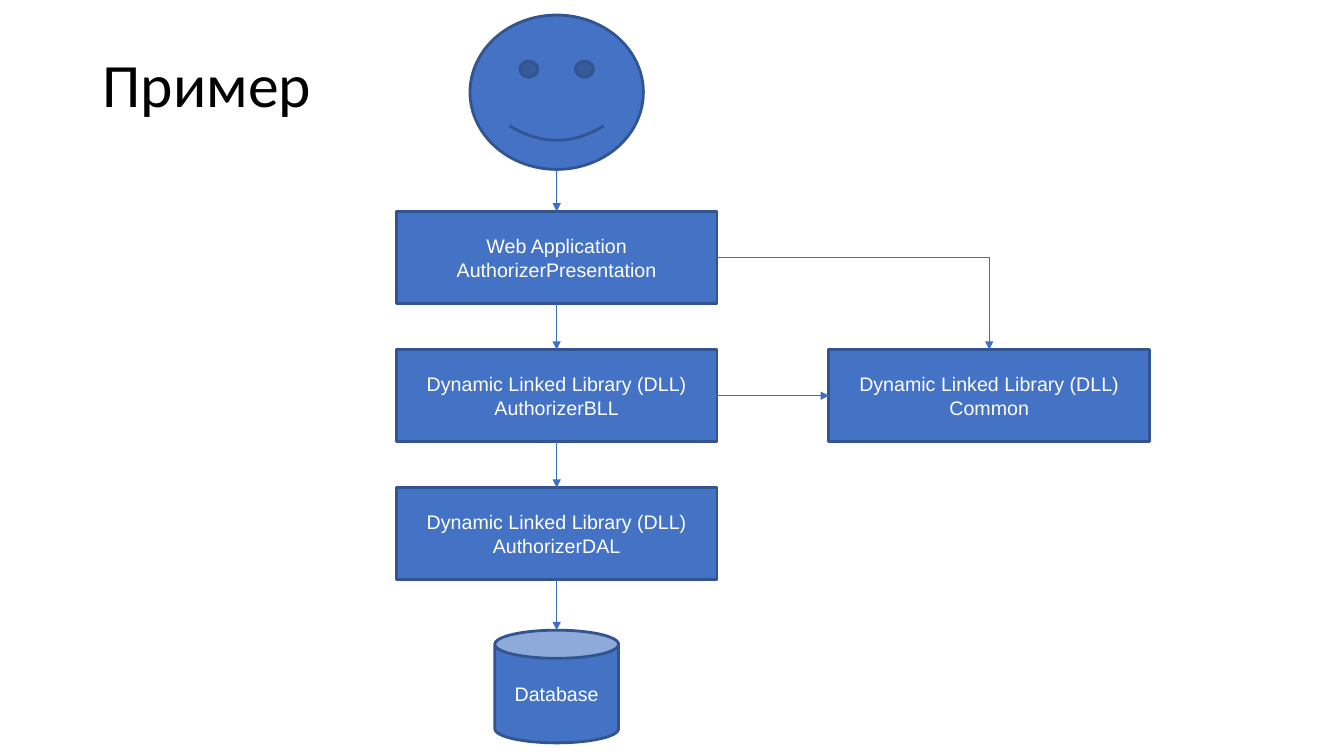
from lxml import etree
from pptx import Presentation
from pptx.dml.color import RGBColor
from pptx.enum import shapes, text
from pptx.oxml.ns import qn
from pptx.util import Cm, Pt

COLORS = {"fill": "4472C4", "outline": "325491", "arrow": "3F6FC3",
          "label": "FFFFFF", "title": "000000"}
LABEL_FONT = {"name": "Arial", "size": Pt(14)}
TITLE_FONT = {"name": "Calibri", "size": Pt(44), "bold": False}
CENTER = 14.03
BOX_WIDTH, BOX_HEIGHT = 8.08, 2.32
BOX_TOP, BOX_STEP = 5.33, 3.48
COMMON_CENTER = 24.93
USER_TOP, USER_HEIGHT = 0.38, 3.89
DATABASE_TOP = 15.88


def add_node(kind, center, top, width, height, lines=()):
    """Add a filled shape centred on a column, with one paragraph per line."""
    node = slide.shapes.add_shape(kind, Cm(center - width / 2), Cm(top), Cm(width), Cm(height))
    node.shadow.inherit = False
    node.fill.solid()
    node.fill.fore_color.rgb = RGBColor.from_string(COLORS["fill"])
    node.line.color.rgb = RGBColor.from_string(COLORS["outline"])
    node.line.width = Pt(2)
    frame = node.text_frame
    frame.word_wrap = True
    frame.vertical_anchor = text.MSO_ANCHOR.MIDDLE
    for index, line in enumerate(lines):
        paragraph = frame.paragraphs[0] if index == 0 else frame.add_paragraph()
        paragraph.alignment = text.PP_ALIGN.CENTER
        run = paragraph.add_run()
        run.text = line
        for name, value in LABEL_FONT.items():
            setattr(run.font, name, value)
        run.font.color.rgb = RGBColor.from_string(COLORS["label"])
    return node


def add_arrow(start, end, start_site=2, end_site=0, kind=shapes.MSO_CONNECTOR.STRAIGHT):
    """Draw an arrow between two nodes, joining it to those that are rectangles."""
    middle = start.left + start.width // 2
    arrow = slide.shapes.add_connector(kind, middle, start.top + start.height, middle, end.top)
    if start.auto_shape_type == shapes.MSO_SHAPE.RECTANGLE:
        arrow.begin_connect(start, start_site)
    if end.auto_shape_type == shapes.MSO_SHAPE.RECTANGLE:
        arrow.end_connect(end, end_site)
    arrow.line.color.rgb = RGBColor.from_string(COLORS["arrow"])
    arrow.line.width = Pt(0.75)
    properties = arrow.element.spPr
    etree.SubElement(properties.find(qn("a:ln")), qn("a:tailEnd"), type="triangle")
    etree.SubElement(properties, qn("a:effectLst"))
    return arrow


presentation = Presentation()
presentation.slide_width, presentation.slide_height = Cm(33.87), Cm(19.05)
slide = presentation.slides.add_slide(presentation.slide_layouts[5])

title = slide.shapes.title
title_box = {"left": 2.33, "top": 1.01, "width": 29.21, "height": 2.4}
for name, value in title_box.items():
    setattr(title, name, Cm(value))
title.text_frame.text = "Пример"
title.text_frame.auto_size = text.MSO_AUTO_SIZE.NONE
title.text_frame.vertical_anchor = text.MSO_ANCHOR.MIDDLE
title_paragraph = title.text_frame.paragraphs[0]
title_paragraph.alignment = text.PP_ALIGN.LEFT
title_paragraph.line_spacing = 0.9
title_font = title_paragraph.runs[0].font
for name, value in TITLE_FONT.items():
    setattr(title_font, name, value)
title_font.color.rgb = RGBColor.from_string(COLORS["title"])

boxes = [
    (CENTER, 0, "Web Application", "AuthorizerPresentation"),
    (CENTER, 1, "Dynamic Linked Library (DLL)", "AuthorizerBLL"),
    (CENTER, 2, "Dynamic Linked Library (DLL)", "AuthorizerDAL"),
    (COMMON_CENTER, 1, "Dynamic Linked Library (DLL)", "Common"),
]
presentation_layer, business_layer, data_layer, common = [
    add_node(shapes.MSO_SHAPE.RECTANGLE, center, BOX_TOP + row * BOX_STEP,
             BOX_WIDTH, BOX_HEIGHT, lines)
    for center, row, *lines in boxes
]
user = add_node(shapes.MSO_SHAPE.SMILEY_FACE, CENTER, USER_TOP, 4.37, USER_HEIGHT)
database = add_node(shapes.MSO_SHAPE.CAN, CENTER, DATABASE_TOP, 3.12, 2.84, ["Database"])

chain = [user, presentation_layer, business_layer, data_layer, database]
for upper, lower in zip(chain, chain[1:]):
    add_arrow(upper, lower)
add_arrow(business_layer, common, start_site=3, end_site=1)
elbow = add_arrow(presentation_layer, common, start_site=3, kind=shapes.MSO_CONNECTOR.ELBOW)
elbow.element.spPr.find(qn("a:prstGeom")).set("prst", "bentConnector2")

presentation.save("out.pptx")
